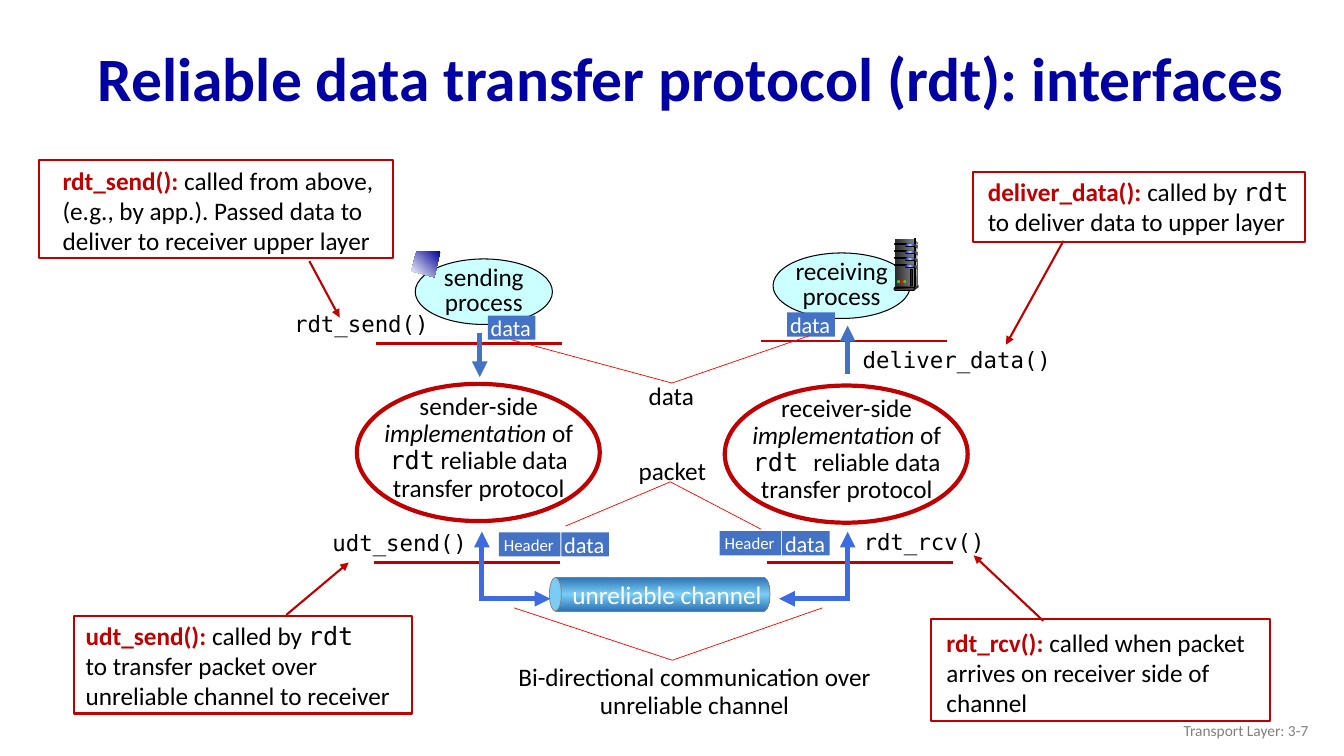
from copy import deepcopy
from pptx import Presentation
from pptx.dml.color import RGBColor
from pptx.enum.shapes import MSO_CONNECTOR, MSO_SHAPE
from pptx.enum.text import MSO_ANCHOR, PP_ALIGN
from pptx.oxml.ns import qn
from pptx.util import Pt
from lxml import etree

RECT, OVAL, PILL = MSO_SHAPE.RECTANGLE, MSO_SHAPE.OVAL, MSO_SHAPE.ROUNDED_RECTANGLE
STRAIGHT = MSO_CONNECTOR.STRAIGHT
TOP, MIDDLE = MSO_ANCHOR.TOP, MSO_ANCHOR.MIDDLE
LEFT, CENTER, RIGHT = PP_ALIGN.LEFT, PP_ALIGN.CENTER, PP_ALIGN.RIGHT
SANS, MONO = "Calibri", "DejaVu Sans Mono"
RED, BLUE, ARROW_BLUE, BLACK, WHITE = "C00000", "4472C4", "3C6CDF", "000000", "FFFFFF"
PIPE = ["2E75B6", "7ACCF4", "2E75B6"]
BAY_LIGHT = ["0000FF", "99CCFF", "0000FF"]


def colour(value):
    return RGBColor.from_string(value)


def paint(shape, fill=None, line=None, width=0.75, angle=0):
    """Fill with nothing, one colour or a list of gradient colours."""
    shape.shadow.inherit = False
    if isinstance(fill, list):
        shape.fill.gradient()
        shape.fill.gradient_angle = angle
        stop_list = next(shape._element.iter(qn("a:gsLst")))
        while len(stop_list) < len(fill):
            stop_list.append(deepcopy(stop_list[0]))
        for index, stop in enumerate(shape.fill.gradient_stops):
            stop.color.rgb = colour(fill[index])
            stop.position = index / (len(fill) - 1)
    elif fill:
        shape.fill.solid()
        shape.fill.fore_color.rgb = colour(fill)
    else:
        shape.fill.background()
    if line:
        shape.line.color.rgb = colour(line)
        shape.line.width = Pt(width)
    else:
        shape.line.fill.background()
    return shape


def add_preset(page, kind, box, fill=None, line=None, width=0.75, angle=0):
    shape = page.shapes.add_shape(kind, *map(Pt, box))
    if kind == PILL:
        shape.adjustments[0] = 0.5
    return paint(shape, fill, line, width, angle)


def add_polygon(page, left, top, points, fill, angle=0):
    corners = [(Pt(left + x), Pt(top + y)) for x, y in points]
    builder = page.shapes.build_freeform(*corners[0], scale=1.0)
    builder.add_line_segments(corners[1:], close=True)
    return paint(builder.convert_to_shape(), fill, angle=angle)


def add_line(page, start, end, line, width, arrow=False):
    connector = page.shapes.add_connector(STRAIGHT, *map(Pt, start + end))
    connector.line.color.rgb = colour(line)
    connector.line.width = Pt(width)
    if arrow:
        etree.SubElement(connector.line._get_or_add_ln(), qn("a:tailEnd"), type="triangle")
    etree.SubElement(connector._element.spPr, qn("a:effectLst"))


def write(shape, paras, align=LEFT, spacing=1.0, anchor=TOP,
          margins=(7.2, 3.6, 7.2, 3.6), wrap=True, **base):
    """Each paragraph is a list of (text, format values) spans."""
    frame = shape.text_frame
    frame.word_wrap, frame.vertical_anchor = wrap, anchor
    for side, margin in zip(("left", "top", "right", "bottom"), margins):
        setattr(frame, "margin_" + side, Pt(margin))
    for index, spans in enumerate(paras):
        para = frame.add_paragraph() if index else frame.paragraphs[0]
        para.alignment, para.line_spacing = align, spacing
        for text, changes in spans:
            span = para.add_run()
            span.text = text
            values = {"name": SANS, "size": 18, "color": BLACK, **base, **changes}
            span.font.color.rgb = colour(values.pop("color"))
            span.font.size = Pt(values.pop("size"))
            for name, value in values.items():
                setattr(span.font, name, value)


def add_text(page, box, paras, **options):
    if isinstance(paras, str):
        paras = [[(paras, {})]]
    write(page.shapes.add_textbox(*map(Pt, box)), paras, **options)


def add_title(page, box, text):
    title = page.shapes.title
    title.left, title.top, title.width, title.height = map(Pt, box)
    write(title, [[(text, {})]], spacing=0.9, anchor=MIDDLE,
          size=44, color="0000A3", bold=True)


def add_process(page, left, top, name):
    oval = add_preset(page, OVAL, (left, top, 98, 46.8), "CCFFFF", BLACK)
    write(oval, [[(name, {})]], align=CENTER, spacing=0.8, anchor=MIDDLE, margins=(0,) * 4)


def add_tag(page, left, top, text, width=34, size=16, indent=2):
    tag = add_preset(page, RECT, (left, top, width, 17.3), BLUE)
    write(tag, [[(text, {})]], anchor=MIDDLE, margins=(indent, 0, 0, 0), wrap=False,
          size=size, color=WHITE)


def add_packet(page, left, top):
    add_tag(page, left, top, "Header", width=44, size=12, indent=3.6)
    add_tag(page, left + 44.6, top, "data")


def add_server(page, left, top):
    def part(kind, x, y, width, height, fill, line=None):
        add_preset(page, kind, (left + x, top + y, width, height), fill, line)

    # Cabinet
    add_polygon(page, left, top, [(14.4, 0), (17.5, 4.3), (17.5, 33.1), (14.4, 35.3)],
                ["DDDDDD", "333333"])
    part(RECT, 0.7, 0, 13.7, 35.3, ["292929", "808080"])
    add_polygon(page, left, top, [(15.1, 2.2), (17.3, 5), (15.1, 34.6)], ["808080", "F8F8F8"])
    part(RECT, 14.4, 0, 0.7, 35.3, ["333333", "DDDDDD", "333333"], BLACK)
    # Drive bays with their side vents
    for y in (3.6, 8.6, 13.6, 18.6):
        part(RECT, 0.7, y, 7.9, 0.7, BLACK, BLACK)
        part(PILL, 7.9, y, 7.2, 2.2, BLACK)
        part(PILL, 7.9, y, 7.2, 1.4, BAY_LIGHT)
        add_polygon(page, left, top + y, [(14.4, 0), (17.6, 2), (17.6, 3.4), (14.4, 1.2)],
                    ["292929", "808080"])
    # Base, lamps and handle
    add_polygon(page, left, top, [(14.4, 34.6), (14.4, 36.7), (17.6, 34.6), (17.6, 33.1)], "333333")
    part(PILL, 0, 34.6, 15, 2.2, "DDDDDD", BLACK)
    part(PILL, 0.7, 34.6, 13.7, 1.4, [BLACK, "808080"], BLACK)
    for index, lamp in enumerate(("33CC33", "FF0000", "33CC33")):
        part(OVAL, 2.2 + 2.2 * index, 29.5, 2.2, 2.2, lamp)
    part(RECT, 11.5, 21.6, 1.4, 11.5, "292929", BLACK)


def add_implementation(page, left, top, side, code, rest):
    add_preset(page, OVAL, (left, top, 173.5, 98), None, RED, 3)
    add_text(page, (left + 8.2, top + 3.4, 157.7, 85.7),
             [[(side, {})],
              [("implementation", {"italic": True}), (" of ", {}), (code, {"name": MONO}), (rest, {})]],
             align=CENTER, spacing=0.9)


def add_channel(page, left, top):
    height = 23.8
    add_preset(page, RECT, (left + 4.3, top, 149, height), PIPE, "808080", 0.5, 90)
    add_preset(page, OVAL, (left, top, 8.6, height), PIPE[1], "808080", 0.5)
    add_preset(page, OVAL, (left + 149, top, 8.6, height), PIPE, "808080", 0.5, 90)
    add_preset(page, RECT, (left + 138.2, top, 15, height), PIPE, angle=90)
    add_text(page, (left + 9.4, top - 2.2, 151, 28.8), "unreliable channel", wrap=False, color=WHITE)


def add_callout(page, box, margins, paras, start, end):
    frame = add_preset(page, RECT, box, None, RED, 1.5)
    write(frame, paras, margins=margins)
    add_line(page, start, end, RED, 1.5, arrow=True)


def add_pointer(page, box, text, tip, ends):
    add_text(page, box, text, align=CENTER, spacing=0.9)
    for end in ends:
        add_line(page, end, tip, "FF0000", 0.5)


def build_interfaces(deck):
    page = deck.slides.add_slide(deck.slide_layouts[5])
    add_title(page, (62.6, 23, 874, 70.6), "Reliable data transfer protocol (rdt): interfaces")
    # Application processes
    add_process(page, 296.6, 185, "sending process")
    add_polygon(page, 293.8, 179.3, [(20.8, 0), (3.6, 0.7), (0, 14.4), (16.5, 18.7)],
                ["000099", WHITE], 225)
    add_process(page, 552.2, 180.7, "receiving process")
    add_server(page, 638.6, 170.6)
    add_tag(page, 348.5, 225.4, "data")
    add_tag(page, 562.3, 223.2, "data")
    # Layer boundaries
    for left, y in ((268.6, 245.5), (543.6, 243.4), (267.1, 401.8), (547.9, 401.8)):
        add_line(page, (left, y), (left + 132.7, y), RED, 1.75)
    # Protocol implementations
    add_implementation(page, 254.9, 274.2, "sender-side", "rdt", " reliable data transfer protocol")
    add_implementation(page, 517.7, 275.4, "receiver-side", "rdt ", "reliable data transfer protocol")
    # Channel, packets and data flow
    add_channel(page, 392.4, 412.6)
    add_packet(page, 356.4, 380.2)
    add_packet(page, 514.1, 379.4)
    add_line(page, (342.7, 237.6), (342.7, 269.3), BLUE, 3.75, arrow=True)
    add_line(page, (605.5, 267.1), (605.5, 232.6), BLUE, 3.75, arrow=True)
    for x, pipe_end in ((344.2, 393.1), (605.5, 556.6)):
        add_line(page, (x, 429.5), (x, 379.8), ARROW_BLUE, 3.75, arrow=True)
        add_line(page, (x, 427.7), (pipe_end, 427.7), ARROW_BLUE, 3.75, arrow=True)
    # Interface names
    for name, left, top in (("rdt_send()", 203, 218.2), ("udt_send()", 230.4, 374.4),
                            ("rdt_rcv()", 609.8, 373.7), ("deliver_data()", 609.1, 243.4)):
        add_text(page, (left, top, 152.6, 26.6), name, name=MONO, size=16)
    # Callouts
    strong, code = {"color": RED, "bold": True}, {"name": MONO}
    add_callout(page, (28.1, 114.5, 252.7, 69.8), (16.6, 3.6, 13.7, 0),
                [[("rdt_send(): ", strong),
                  ("called from above, (e.g., by app.). Passed data to deliver to receiver upper layer", {})]],
                (221, 186.5), (242.6, 226.8))
    add_callout(page, (52.6, 439.9, 241.9, 69.8), (8.6, 2.9, 13, 0),
                [[("udt_send(): ", strong), ("called by ", {}), ("rdt", code)],
                 [("to transfer packet over", {})], [("unreliable channel to receiver", {})]],
                (204.5, 439.2), (249.1, 401.8))
    add_callout(page, (665.3, 442.1, 241.9, 72.7), (10.8, 5.8, 3.6, 0),
                [[("rdt_rcv(): ", strong),
                  ("called when packet arrives on receiver side of channel", {})]],
                (745.2, 443.5), (695.5, 396.7))
    add_callout(page, (694.8, 123.1, 237.6, 49.7), (10.8, 2.9, 3.6, 0),
                [[("deliver_data(): ", strong), ("called by ", {}), ("rdt ", code),
                  ("to deliver data to upper layer", {})]],
                (759.6, 172.1), (718.6, 246.2))
    # Shared labels with thin pointers
    add_pointer(page, (345.6, 471.6, 301, 46.8), "Bi-directional communication over unreliable channel",
                (480.2, 471.6), [(367.2, 434.2), (587.5, 434.2)])
    add_pointer(page, (329, 270.7, 301, 26.6), "data", (480, 273.6), [(365, 242.6), (578.2, 239.8)])
    add_pointer(page, (435.6, 324, 89.3, 26.6), "packet", (478.8, 344.2), [(403.9, 375.8), (543.6, 378)])
    # Page footer
    add_text(page, (725.8, 507.6, 216, 28.8), "Transport Layer: 3-7", align=RIGHT, anchor=MIDDLE,
             size=11, color="808080")


def main():
    deck = Presentation()
    deck.slide_width, deck.slide_height = Pt(960), Pt(540)
    build_interfaces(deck)
    deck.save("out.pptx")


if __name__ == "__main__":
    main()
